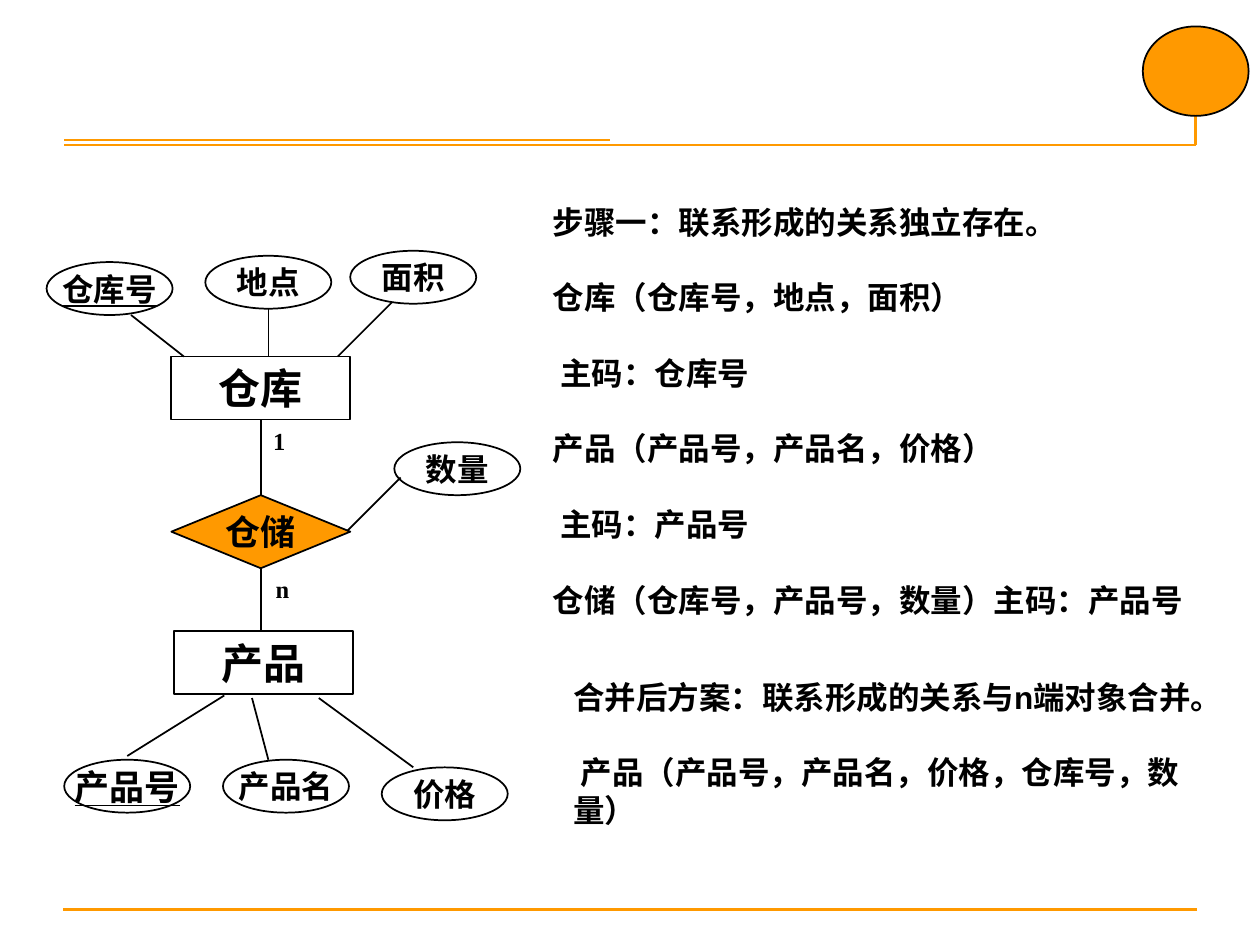
"""Build the slide that turns a warehouse and product ER diagram into relations."""
from lxml import etree
from pptx import Presentation, util as u
from pptx.dml.color import RGBColor
from pptx.enum import shapes, text
from pptx.oxml.ns import qn

COLORS = {"orange": "FF9900", "black": "000000"}
SERIF, SANS = "Times New Roman", "Arial"
KIND = shapes.MSO_SHAPE

deck = Presentation()
deck.slide_width, deck.slide_height = u.Inches(10), u.Inches(7.5)
slide = deck.slides.add_slide(deck.slide_layouts[6])


def add_line(x1, y1, x2, y2, color="black", width=1):
    line = slide.shapes.add_connector(
        shapes.MSO_CONNECTOR.STRAIGHT, *map(u.Inches, (x1, y1, x2, y2)))
    line.line.color.rgb = RGBColor.from_string(COLORS[color])
    line.line.width = u.Pt(width)
    etree.SubElement(line._element.spPr, qn("a:effectLst"))


def add_words(paragraph, words, size, font=SERIF, underline=None):
    run = paragraph.add_run()
    run.text = words
    run.font.size, run.font.name = u.Pt(size), font
    run.font.bold, run.font.underline = True, underline
    run.font.color.rgb = RGBColor.from_string(COLORS["black"])


for rule in [(0.5, 7.22, 9.5, 7.22), (0.51, 1.15, 9.49, 1.15),
             (9.49, 0.28, 9.49, 1.15), (0.51, 1.11, 4.84, 1.11)]:
    add_line(*rule, "orange", 1.5)

for link in [(1.04, 2.5, 1.46, 2.83), (2.13, 2.45, 2.13, 2.83), (3.11, 2.4, 2.68, 2.83),
             (2.07, 3.33, 2.07, 3.93), (2.07, 4.51, 2.07, 5.01), (3.18, 3.79, 2.75, 4.22),
             (1.78, 5.52, 1.01, 6), (2, 5.54, 2.13, 6.03), (2.53, 5.54, 3.28, 6.09)]:
    add_line(*link)

attribute = (KIND.OVAL, 1, 0.42, None)
entity = (KIND.RECTANGLE, 1.42, 0.5, None)
relationship = (KIND.FLOWCHART_DECISION, 1.42, 0.58, "orange")
corner = (KIND.OVAL, 0.84, 0.71, "orange")

for (kind, width, height, fill), left, top, label, size, is_key in [
    (corner, 9.07, 0.21, None, None, None),
    (attribute, 0.37, 2.08, "仓库号", 18, True),
    (attribute, 1.63, 2.03, "地点", 18, None),
    (attribute, 2.78, 1.99, "面积", 18, None),
    (entity, 1.36, 2.83, "仓库", 24, None),
    (relationship, 1.36, 3.93, "仓储", 20, None),
    (attribute, 3.13, 3.51, "数量", 18, None),
    (entity, 1.38, 5.01, "产品", 24, None),
    (attribute, 0.51, 6.03, "产品号", 20, True),
    (attribute, 1.77, 6.03, "产品名", 18, None),
    (attribute, 3.03, 6.09, "价格", 18, None),
]:
    node = slide.shapes.add_shape(kind, *map(u.Inches, (left, top, width, height)))
    node.shadow.inherit = False
    if fill:
        node.fill.solid()
        node.fill.fore_color.rgb = RGBColor.from_string(COLORS[fill])
    else:
        node.fill.background()
    node.line.color.rgb = RGBColor.from_string(COLORS["black"])
    node.line.width = u.Pt(1)
    if label:
        node.text_frame.word_wrap = False
        node.text_frame.vertical_anchor = text.MSO_ANCHOR.MIDDLE
        caption = node.text_frame.paragraphs[0]
        caption.alignment = text.PP_ALIGN.CENTER
        add_words(caption, label, size, underline=is_key)

for left, top, cardinality in [(2.07, 3.33, "1"), (2.09, 4.51, "n")]:
    mark = slide.shapes.add_textbox(*map(u.Inches, (left, top, 0.33, 0.34)))
    mark.text_frame.word_wrap = True
    add_words(mark.text_frame.paragraphs[0], cardinality, 14)

separate_step = [
    ("步骤一：联系形成的关系独立存在。", 0),
    ("仓库（仓库号，地点，面积）", 0),
    ("主码：仓库号", 0.06),
    ("产品（产品号，产品名，价格）", 0),
    ("主码：产品号", 0.06),
    ("仓储（仓库号，产品号，数量）主码：产品号", 0),
]
merged_step = [
    ("合并后方案：联系形成的关系与n端对象合并。", 0),
    ("产品（产品号，产品名，价格，仓库号，数量）", 0.06),
]
for left, top, width, height, statements in [(4.29, 1.56, 5.43, 3.4, separate_step),
                                             (4.45, 5.33, 5.15, 1.3, merged_step)]:
    step = slide.shapes.add_textbox(*map(u.Inches, (left, top, width, height)))
    step.text_frame.word_wrap = True
    for position, (statement, indent) in enumerate(statements):
        paragraph = step.text_frame.paragraphs[0]
        if position:
            paragraph = step.text_frame.add_paragraph()
            paragraph.space_before = u.Pt(21.6)
        paragraph._p.get_or_add_pPr().set("indent", str(u.Inches(indent)))
        add_words(paragraph, statement, 18, SANS)

deck.save("out.pptx")
